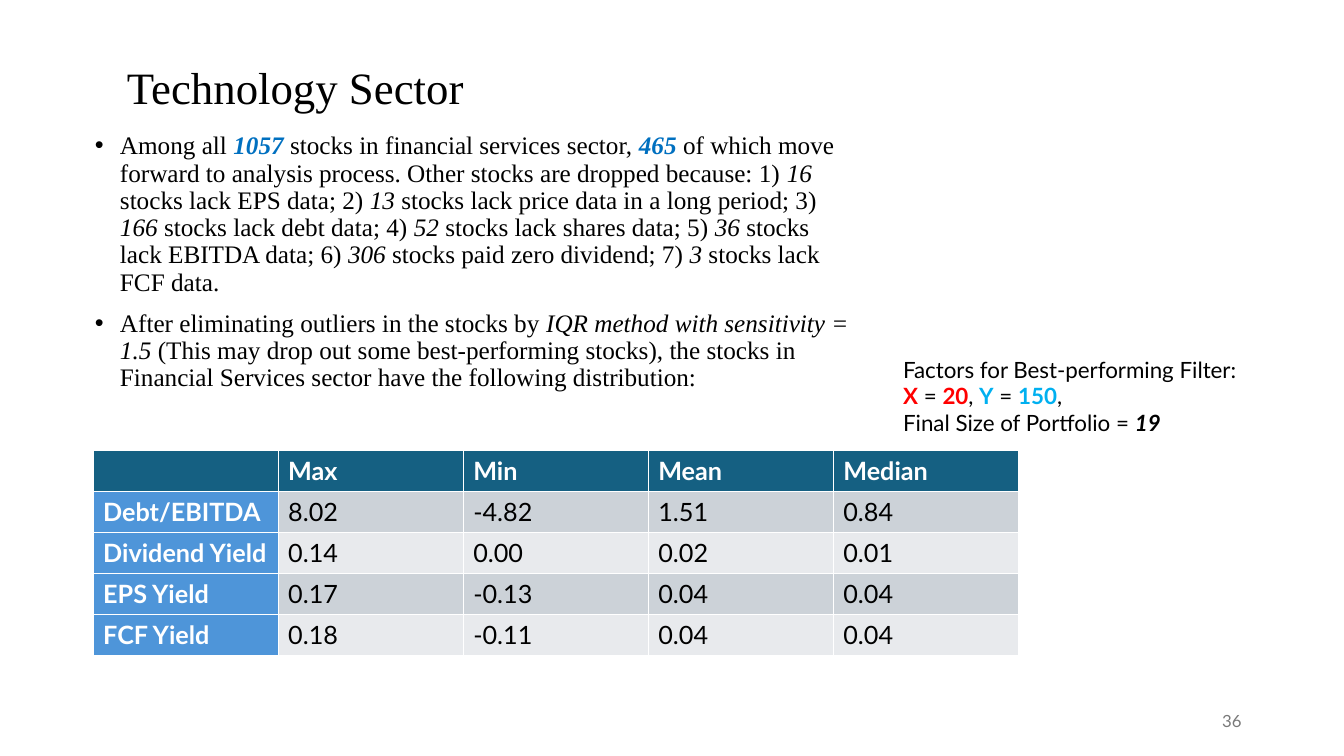
"""Build the Technology Sector slide with its stock screening statistics."""
from lxml.etree import SubElement
from pptx import Presentation
from pptx.dml.color import RGBColor
from pptx.enum.text import MSO_ANCHOR as Anchor, MSO_AUTO_SIZE as AutoSize, PP_ALIGN as Align
from pptx.oxml.ns import qn
from pptx.util import Pt

SERIF, SANS = "Times New Roman", "Lato"
BLACK, WHITE = "000000", "FFFFFF"
HEADER_FILL, LABEL_FILL = "156082", "4E95D9"
BAND_FILLS = ["CCD2D8", "E8EAED"]

PLAIN = {}
ITALIC = {"italic": True}
COUNT = {"bold": True, "italic": True, "color": "0070C0"}
RED = {"bold": True, "color": "FF0000"}
CYAN = {"bold": True, "color": "00B0F0"}
STRONG = {"bold": True, "italic": True}

FINDINGS = [
    [("Among all ", PLAIN), ("1057", COUNT),
     (" stocks in financial services sector, ", PLAIN), ("465", COUNT),
     (" of which move forward to analysis process. Other stocks are dropped because: 1) ", PLAIN),
     ("16", ITALIC), (" stocks lack EPS data; 2) ", PLAIN),
     ("13", ITALIC), (" stocks lack price data in a long period; 3) ", PLAIN),
     ("166", ITALIC), (" stocks lack debt data; 4) ", PLAIN),
     ("52", ITALIC), (" stocks lack shares data; 5) ", PLAIN),
     ("36", ITALIC), (" stocks lack EBITDA data; 6) ", PLAIN),
     ("306", ITALIC), (" stocks paid zero dividend; 7) ", PLAIN),
     ("3", ITALIC), (" stocks lack FCF data.", PLAIN)],
    [("After eliminating outliers in the stocks by ", PLAIN),
     ("IQR method with sensitivity = 1.5 ", ITALIC),
     ("(This may drop out some best-performing stocks), the stocks in "
      "Financial Services sector have the following distribution:", PLAIN)],
]

FILTER_FACTORS = [
    [("Factors for Best-performing Filter:", PLAIN)],
    [("X", RED), (" = ", PLAIN), ("20", RED), (", ", PLAIN),
     ("Y", CYAN), (" = ", PLAIN), ("150", CYAN), (",", PLAIN)],
    [("Final Size of Portfolio = ", PLAIN), ("19", STRONG)],
]

STATISTICS = [
    ["", "Max", "Min", "Mean", "Median"],
    ["Debt/EBITDA", "8.02", "-4.82", "1.51", "0.84"],
    ["Dividend Yield", "0.14", "0.00", "0.02", "0.01"],
    ["EPS Yield", "0.17", "-0.13", "0.04", "0.04"],
    ["FCF Yield", "0.18", "-0.11", "0.04", "0.04"],
]


def rgb(value):
    return RGBColor.from_string(value)


def apply(target, values):
    for name, value in values.items():
        setattr(target, name, value)


class SlideBuilder:
    def __init__(self, presentation):
        self.slide = presentation.slides.add_slide(presentation.slide_layouts[1])

    def place(self, shape, left, top, width, height):
        apply(shape, {"left": Pt(left), "top": Pt(top), "width": Pt(width), "height": Pt(height)})

    def fill_text(self, frame, paragraphs, font, paragraph_format=PLAIN):
        for index, runs in enumerate(paragraphs):
            paragraph = frame.add_paragraph() if index else frame.paragraphs[0]
            apply(paragraph, paragraph_format)
            for text, style in runs:
                run = paragraph.add_run()
                run.text = text
                values = {"bold": False, "italic": False, **font, **style}
                run.font.color.rgb = rgb(values.pop("color"))
                apply(run.font, values)

    def title(self, text, box):
        shape = self.slide.shapes.title
        self.place(shape, *box)
        apply(shape.text_frame, {"vertical_anchor": Anchor.MIDDLE, "auto_size": AutoSize.NONE})
        self.fill_text(shape.text_frame, [[(text, PLAIN)]],
                       {"name": SERIF, "size": Pt(32), "color": BLACK},
                       {"alignment": Align.LEFT, "line_spacing": 0.9})

    def bullets(self, paragraphs, box):
        shape = self.slide.placeholders[1]
        self.place(shape, *box)
        shape.text_frame.auto_size = AutoSize.NONE
        self.fill_text(shape.text_frame, paragraphs,
                       {"name": SERIF, "size": Pt(18), "color": BLACK},
                       {"line_spacing": 0.9, "space_before": Pt(10)})
        for paragraph in shape.text_frame.paragraphs:
            properties = paragraph._p.get_or_add_pPr()
            properties.set("marL", str(Pt(18)))
            properties.set("indent", str(-Pt(18)))
            SubElement(properties, qn("a:buFont"), typeface="Arial")
            SubElement(properties, qn("a:buChar"), char="•")

    def text(self, paragraphs, box, size, color=BLACK, alignment=Align.LEFT, anchor=Anchor.TOP):
        frame = self.slide.shapes.add_textbox(*map(Pt, box)).text_frame
        apply(frame, {"word_wrap": True, "vertical_anchor": anchor})
        self.fill_text(frame, paragraphs, {"name": SANS, "size": Pt(size), "color": color},
                       {"alignment": alignment})

    def table(self, rows, box):
        table = self.slide.shapes.add_table(len(rows), len(rows[0]), *map(Pt, box)).table
        table.first_col = True
        for row_index, row in enumerate(rows):
            for column_index, text in enumerate(row):
                cell = table.cell(row_index, column_index)
                heading = row_index == 0 or column_index == 0
                if row_index == 0:
                    fill = HEADER_FILL
                elif column_index == 0:
                    fill = LABEL_FILL
                else:
                    fill = BAND_FILLS[(row_index - 1) % 2]
                cell.fill.solid()
                cell.fill.fore_color.rgb = rgb(fill)
                if text:
                    self.fill_text(cell.text_frame, [[(text, PLAIN)]],
                                   {"name": SANS, "size": Pt(18), "bold": heading,
                                    "color": WHITE if heading else BLACK})


def main():
    presentation = Presentation()
    apply(presentation, {"slide_width": Pt(960), "slide_height": Pt(540)})
    builder = SlideBuilder(presentation)
    builder.title("Technology Sector", (83.5, 10.8, 353, 106.5))
    builder.bullets(FINDINGS, (60.5, 91.5, 556.5, 212.5))
    builder.text([[("36", PLAIN)]], (678, 500.5, 216, 28.75), 12, "797979",
                 Align.RIGHT, Anchor.MIDDLE)
    builder.table(STATISTICS, (66.5, 322, 661, 146))
    builder.text(FILTER_FACTORS, (638, 250.5, 256.5, 65.5), 16)
    presentation.save("out.pptx")


if __name__ == "__main__":
    main()
